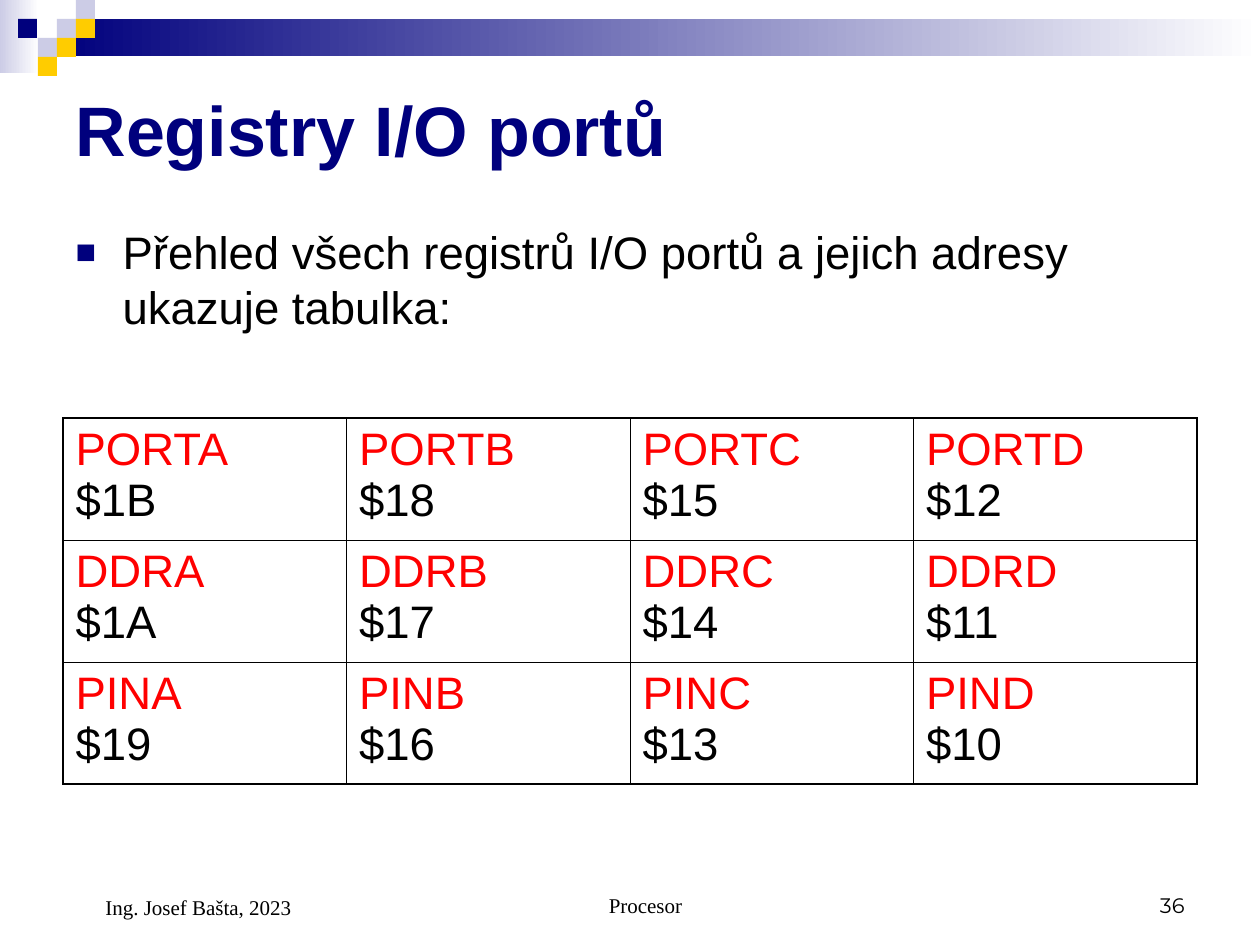
import pptx
import pptx.util
import pptx.dml.color
import pptx.enum.shapes
import pptx.enum.text
import pptx.oxml
import pptx.oxml.ns

HUES = {"navy": "00007D", "pale": "CCCCE6", "gold": "FFCC00",
        "white": "FFFFFF", "black": "000000", "red": "FF0000"}
ALIGN = pptx.enum.text.PP_ALIGN
ANCHOR = pptx.enum.text.MSO_ANCHOR
NS = pptx.oxml.ns.nsdecls("a")


def px(n):
    return pptx.util.Emu(round(n * 914400 / 126))


def rgb(hue):
    return pptx.dml.color.RGBColor.from_string(HUES[hue])


class Deck:
    def __init__(self, wide, high):
        self.prs = pptx.Presentation()
        self.prs.slide_width, self.prs.slide_height = px(wide), px(high)
        self.slide = self.prs.slides.add_slide(self.prs.slide_layouts[1])
        self.font = "Arial"

    def run(self, para, text, size, hue="black", font=None, bold=False):
        run = para.add_run()
        run.text = text
        run.font.name = font or self.font
        run.font.size = pptx.util.Pt(size)
        run.font.bold = bold
        run.font.color.rgb = rgb(hue)

    def rect(self, x, y, w, h, *hues):
        """Plain fill for one hue, left-to-right fade for two."""
        kind = pptx.enum.shapes.MSO_SHAPE.RECTANGLE
        shape = self.slide.shapes.add_shape(kind, px(x), px(y), px(w), px(h))
        shape.shadow.inherit = False
        shape.line.fill.background()
        if len(hues) == 1:
            shape.fill.solid()
            shape.fill.fore_color.rgb = rgb(hues[0])
            return
        shape.fill.gradient()
        shape.fill.gradient_angle = 0
        for stop, hue in zip(shape.fill.gradient_stops, hues):
            stop.color.rgb = rgb(hue)

    def holder(self, index, x, y, w, h, anchor):
        shape = self.slide.placeholders[index]
        shape.left, shape.top, shape.width, shape.height = map(px, (x, y, w, h))
        frame = shape.text_frame
        frame.auto_size = pptx.enum.text.MSO_AUTO_SIZE.NONE
        frame.vertical_anchor = anchor
        para = frame.paragraphs[0]
        para.alignment = ALIGN.LEFT
        para.space_before = pptx.util.Pt(0)
        return para

    def title(self, text, *box):
        para = self.holder(0, *box, ANCHOR.MIDDLE)
        self.run(para, text, 40, "navy", bold=True)

    def item(self, text, *box):
        para = self.holder(1, *box, ANCHOR.TOP)
        props = para._p.get_or_add_pPr()
        props.set("marL", str(px(47)))
        props.set("indent", str(px(-47)))
        for mark in (f'<a:buClr {NS}><a:srgbClr val="{HUES["navy"]}"/></a:buClr>',
                     f'<a:buSzPct {NS} val="75000"/>',
                     f'<a:buFont {NS} typeface="{self.font}"/>',
                     f'<a:buChar {NS} char="■"/>'):
            props.append(pptx.oxml.parse_xml(mark))
        self.run(para, text, 26)

    def edge(self, cell, side, width):
        line = (f'<a:ln{side} {NS} w="{pptx.util.Pt(width)}"><a:solidFill>'
                f'<a:srgbClr val="{HUES["black"]}"/></a:solidFill></a:ln{side}>')
        cell._tc.get_or_add_tcPr().append(pptx.oxml.parse_xml(line))

    def table(self, rows, x, y, w, h):
        high, wide = len(rows), len(rows[0])
        table = self.slide.shapes.add_table(
            high, wide, px(x), px(y), px(w), px(h)).table
        table.first_row = table.horz_banding = False
        for r, row in enumerate(rows):
            for c, (name, code) in enumerate(row):
                cell = table.cell(r, c)
                outer = {"L": c == 0, "R": c == wide - 1,
                         "T": r == 0, "B": r == high - 1}
                for side, thick in outer.items():
                    self.edge(cell, side, 1.08 if thick else 0.45)
                cell.fill.background()
                para = cell.text_frame.paragraphs[0]
                self.run(para, name, 26, "red")
                para.add_line_break()
                self.run(para, code, 26)

    def note(self, text, x, y, w, h, align, font, indent=0):
        box = self.slide.shapes.add_textbox(px(x), px(y), px(w), px(h))
        frame = box.text_frame
        frame.word_wrap = True
        frame.vertical_anchor = ANCHOR.BOTTOM
        para = frame.paragraphs[0]
        para.alignment = align
        para._p.get_or_add_pPr().set("marL", str(px(indent)))
        self.run(para, text, 12, font=font)


def main():
    deck = Deck(1260, 945)

    # Header bands and mosaic
    deck.rect(0, 0, 39, 73, "pale", "white")
    deck.rect(57, 19, 1203, 37, "navy", "white")
    for x, y, hue in ((57, 19, "pale"), (76, 0, "pale"), (76, 19, "gold"),
                      (38, 38, "pale"), (18, 19, "navy"), (57, 38, "gold"),
                      (38, 57, "gold")):
        deck.rect(x, y, 19, 19, hue)

    # Title and lead-in
    deck.title("Registry I/O portů", 63, 63, 1134, 130)
    deck.item("Přehled všech registrů I/O portů a jejich adresy ukazuje tabulka:",
              63, 218, 1134, 142)

    # Register table: one row per kind, one column per port
    codes = {"PORT": ("$1B", "$18", "$15", "$12"),
             "DDR": ("$1A", "$17", "$14", "$11"),
             "PIN": ("$19", "$16", "$13", "$10")}
    rows = [[(kind + port, code) for port, code in zip("ABCD", row)]
            for kind, row in codes.items()]
    deck.table(rows, 63, 418, 1134, 366)

    # Footer
    serif = "Times New Roman"
    deck.note("Procesor", 431, 861, 399, 63, ALIGN.CENTER, serif, 30)
    deck.note("36", 903, 861, 294, 63, ALIGN.RIGHT, "Montserrat")
    deck.note("Ing. Josef Bašta, 2023", 63, 861, 294, 65, ALIGN.LEFT, serif, 30)

    deck.prs.save("out.pptx")


if __name__ == "__main__":
    main()
